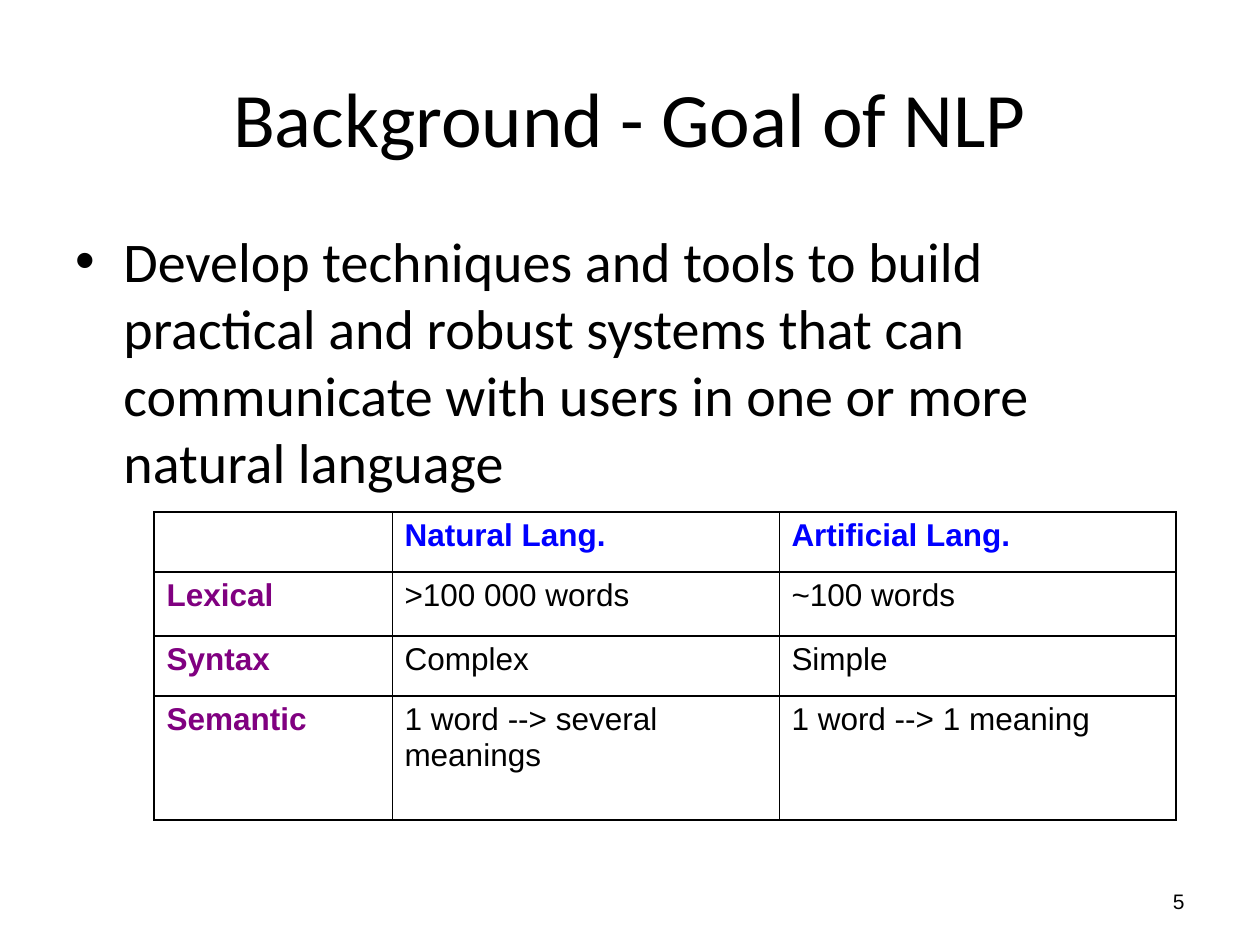
import pptx
import pptx.dml.color
import pptx.enum.text
import pptx.oxml.ns
import pptx.util
from lxml import etree

EMU_PER_PX = 914400 / 126
BLACK = pptx.dml.color.RGBColor(0x00, 0x00, 0x00)
BLUE = pptx.dml.color.RGBColor(0x00, 0x00, 0xFF)
PURPLE = pptx.dml.color.RGBColor(0x80, 0x00, 0x80)
THIN, THICK = 0.45, 1.08
ALIGN = pptx.enum.text.PP_ALIGN
ANCHOR = pptx.enum.text.MSO_ANCHOR
qn = pptx.oxml.ns.qn

COLUMNS = [238, 387, 397]
ROWS = [60, 64, 60, 124]
COMPARISON = [
    ["", "Natural Lang.", "Artificial Lang."],
    ["Lexical", ">100 000 words", "~100 words"],
    ["Syntax", "Complex", "Simple"],
    ["Semantic", "1 word --> several meanings", "1 word --> 1 meaning"],
]


def px(n):
    return pptx.util.Emu(round(n * EMU_PER_PX))


def add_run(p, text, size, font, color=BLACK, bold=False):
    r = p.add_run()
    r.text = text
    r.font.size = pptx.util.Pt(size)
    r.font.name = font
    r.font.bold = bold
    r.font.color.rgb = color


def add_textbox(slide, box):
    tf = slide.shapes.add_textbox(*map(px, box)).text_frame
    tf.word_wrap = True
    return tf


def add_title(slide, box, text):
    sp = slide.shapes.title
    sp.left, sp.top, sp.width, sp.height = map(px, box)
    tf = sp.text_frame
    tf.vertical_anchor = ANCHOR.MIDDLE
    p = tf.paragraphs[0]
    p.alignment = ALIGN.CENTER
    add_run(p, text, 44, "Calibri")


def add_bullet(slide, box, text):
    p = add_textbox(slide, box).paragraphs[0]
    p.space_before = pptx.util.Pt(8)
    pPr = p._p.get_or_add_pPr()
    pPr.set("marL", str(px(48)))
    pPr.set("indent", str(-px(48)))
    etree.SubElement(pPr, qn("a:buFont"), typeface="Arial")
    etree.SubElement(pPr, qn("a:buChar"), char="•")
    add_run(p, text, 32, "Calibri")


def set_borders(cell, widths):
    """Draw black borders; widths maps the sides L, R, T, B to points."""
    tcPr = cell._tc.get_or_add_tcPr()
    for side, width in widths.items():
        ln = etree.SubElement(tcPr, qn(f"a:ln{side}"), w=str(pptx.util.Pt(width)))
        fill = etree.SubElement(ln, qn("a:solidFill"))
        etree.SubElement(fill, qn("a:srgbClr"), val=str(BLACK))


def add_comparison(slide, left, top):
    frame = slide.shapes.add_table(
        len(ROWS), len(COLUMNS), px(left), px(top), px(sum(COLUMNS)), px(sum(ROWS)))
    table = frame.table
    table.first_row = table.horz_banding = False
    for column, width in zip(table.columns, COLUMNS):
        column.width = px(width)
    for row, height in zip(table.rows, ROWS):
        row.height = px(height)

    last = len(COLUMNS) - 1
    for i, texts in enumerate(COMPARISON):
        for j, text in enumerate(texts):
            cell = table.cell(i, j)
            set_borders(cell, {"L": THIN if j else THICK,
                               "R": THICK if j == last else THIN,
                               "T": THICK, "B": THICK})
            cell.fill.background()
            if text:
                p = cell.text_frame.paragraphs[0]
                p.space_before = pptx.util.Pt(4.5)
                color = BLUE if i == 0 else PURPLE if j == 0 else BLACK
                add_run(p, text, 18, "Arial", color, bold=color != BLACK)


def add_page_number(slide, box, number):
    tf = add_textbox(slide, box)
    tf.vertical_anchor = ANCHOR.MIDDLE
    p = tf.paragraphs[0]
    p.alignment = ALIGN.RIGHT
    add_run(p, number, 12, "Arial")


def main():
    prs = pptx.Presentation()
    prs.slide_width, prs.slide_height = px(1260), px(945)
    slide = prs.slides.add_slide(prs.slide_layouts[5])
    add_page_number(slide, (903, 876, 294, 50), "5")
    add_title(slide, (63, 38, 1134, 157), "Background - Goal of NLP")
    add_bullet(slide, (63, 220, 1134, 624),
               "Develop techniques and tools to build practical and robust systems "
               "that can communicate with users in one or more natural language")
    add_comparison(slide, 154, 512)
    prs.save("out.pptx")


if __name__ == "__main__":
    main()
